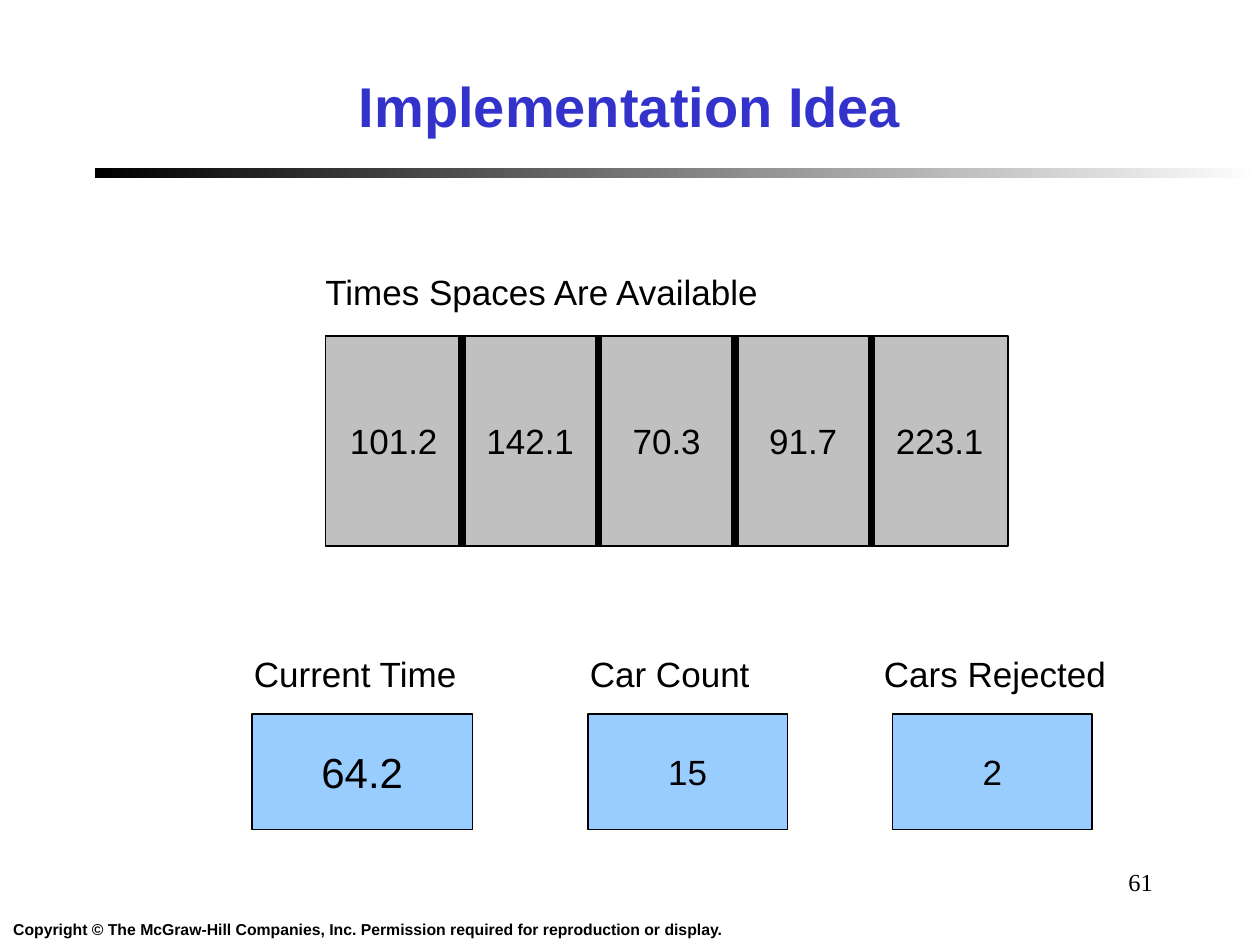
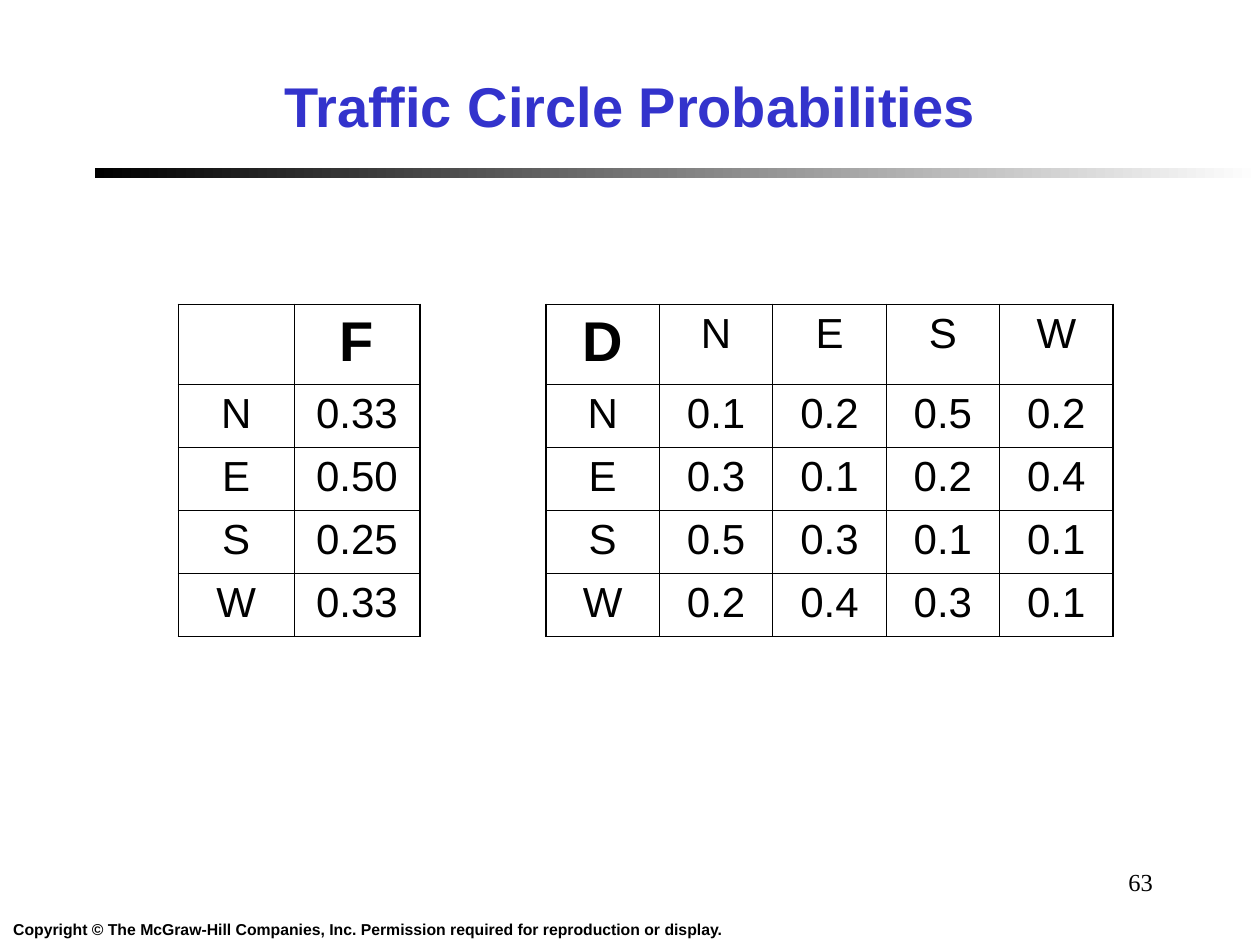
"""Build two slides: a parking-lot implementation idea and traffic circle probability tables."""
from lxml.etree import SubElement
from pptx import Presentation
from pptx.dml.color import RGBColor
from pptx.enum.shapes import MSO_CONNECTOR as Connector, MSO_SHAPE as Shape
from pptx.enum.text import MSO_ANCHOR as Anchor, MSO_AUTO_SIZE as AutoSize, PP_ALIGN as Align
from pptx.oxml.ns import qn
from pptx.util import Inches, Pt

COLORS = {"ink": "000000", "paper": "FFFFFF", "title": "3333CC", "space": "C0C0C0", "counter": "99CCFF"}
COPYRIGHT = "Copyright © The McGraw-Hill Companies, Inc. Permission required for reproduction or display."

SPACES_LABEL = ("Times Spaces Are Available", (29.8, 25.2, 44.2, 5.3))
SPACE_TIMES = ["101.2", "142.1", "70.3", "91.7", "223.1"]
SPACES_LEFT, SPACES_TOP, SPACE_WIDTH, SPACE_HEIGHT = 31, 32, 13, 20

COUNTER_LABEL_TOP, COUNTER_LABEL_HEIGHT = 61.6, 5.3
COUNTER_TOP, COUNTER_HEIGHT = 68, 11
COUNTERS = [
    {"label": "Current Time", "label_left": 23, "label_width": 21.8, "value": "64.2", "size": 24, "left": 24, "width": 21},
    {"label": "Car Count", "label_left": 55, "label_width": 17.7, "value": "15", "size": 20, "left": 56, "width": 19},
    {"label": "Cars Rejected", "label_left": 83, "label_width": 23.7, "value": "2", "size": 20, "left": 85, "width": 19},
]

TABLE_TOP, HEADER_HEIGHT, ROW_HEIGHT = 29, 7.6, 6
TABLES = [
    {"left": 17, "columns": [11, 12], "rows": [
        ["", "F"],
        ["N", "0.33"],
        ["E", "0.50"],
        ["S", "0.25"],
        ["W", "0.33"],
    ]},
    {"left": 52, "columns": [10.8] * 5, "rows": [
        ["D", "N", "E", "S", "W"],
        ["N", "0.1", "0.2", "0.5", "0.2"],
        ["E", "0.3", "0.1", "0.2", "0.4"],
        ["S", "0.5", "0.3", "0.1", "0.1"],
        ["W", "0.2", "0.4", "0.3", "0.1"],
    ]},
]
TABLE_NAMES = {"F", "D"}
OUTER_BORDER, INNER_BORDER = 1.08, 0.45


def grid(*cells):
    """Convert grid units, twelve to the inch, to lengths."""
    return [Inches(cell / 12) for cell in cells]


def color(name):
    """Return the named colour."""
    return RGBColor.from_string(COLORS[name])


def write(frame, text, size, align=Align.CENTER, bold=False, font="Arial", ink="ink"):
    """Write one formatted run into the first paragraph of a text frame."""
    paragraph = frame.paragraphs[0]
    paragraph.alignment = align
    run = paragraph.add_run()
    run.text = text
    run.font.size, run.font.bold, run.font.name = Pt(size), bold, font
    run.font.color.rgb = color(ink)


def add_text(slide, place, text, size, wrap=False, **style):
    """Add a text box that grows with its line unless it wraps."""
    frame = slide.shapes.add_textbox(*grid(*place)).text_frame
    frame.word_wrap = wrap
    frame.auto_size = AutoSize.NONE if wrap else AutoSize.SHAPE_TO_FIT_TEXT
    write(frame, text, size, **style)


def add_value_box(slide, place, text, size, fill):
    """Add an outlined rectangle with a centred value."""
    box = slide.shapes.add_shape(Shape.RECTANGLE, *grid(*place))
    box.shadow.inherit = False
    box.fill.solid()
    box.fill.fore_color.rgb = color(fill)
    box.line.color.rgb = color("ink")
    box.line.width = Pt(0.75)
    box.text_frame.word_wrap = False
    box.text_frame.vertical_anchor = Anchor.MIDDLE
    write(box.text_frame, text, size)


def add_divider(slide, x, top, bottom):
    """Add a thick vertical line."""
    divider = slide.shapes.add_connector(Connector.STRAIGHT, *grid(x, top, x, bottom))
    divider.line.color.rgb = color("ink")
    divider.line.width = Pt(4.5)
    SubElement(divider.element.spPr, qn("a:effectLst"))


def add_border(cell, side, width):
    """Add one border line to a table cell."""
    line = SubElement(cell._tc.get_or_add_tcPr(), qn(f"a:ln{side}"), w=str(Pt(width)))
    SubElement(SubElement(line, qn("a:solidFill")), qn("a:srgbClr"), val=COLORS["ink"])


def add_probability_table(slide, left, columns, rows):
    """Add a ruled table with a heavier outer frame."""
    heights = [HEADER_HEIGHT] + [ROW_HEIGHT] * (len(rows) - 1)
    place = grid(left, TABLE_TOP, sum(columns), sum(heights))
    table = slide.shapes.add_table(len(rows), len(columns), *place).table
    table.first_row = table.horz_banding = False
    for column, width in zip(table.columns, grid(*columns)):
        column.width = width
    for row, height in zip(table.rows, grid(*heights)):
        row.height = height
    for row_index, row in enumerate(rows):
        for column_index, text in enumerate(row):
            cell = table.cell(row_index, column_index)
            outer_sides = {
                "L": column_index == 0,
                "R": column_index == len(columns) - 1,
                "T": row_index == 0,
                "B": row_index == len(rows) - 1,
            }
            for side, is_outer in outer_sides.items():
                add_border(cell, side, OUTER_BORDER if is_outer else INNER_BORDER)
            cell.fill.background()
            if text:
                is_name = text in TABLE_NAMES
                write(cell.text_frame, text, 32 if is_name else 24, bold=is_name)


def add_slide(presentation, title, number):
    """Add a slide with the shared title, gradient band, copyright line and number."""
    slide = presentation.slides.add_slide(presentation.slide_layouts[5])
    heading = slide.shapes.title
    heading.left, heading.top, heading.width, heading.height = grid(3, 4, 114, 12)
    heading.text_frame.vertical_anchor = Anchor.MIDDLE
    write(heading.text_frame, title, 32, bold=True, ink="title")
    band = slide.shapes.add_shape(Shape.RECTANGLE, *grid(9, 16, 111, 1))
    band.shadow.inherit = False
    band.line.fill.background()
    band.fill.gradient()
    band.fill.gradient_angle = 0
    for stop, name in zip(band.fill.gradient_stops, ("ink", "paper")):
        stop.color.rgb = color(name)
    add_text(slide, (0, 87, 70, 3), COPYRIGHT, 9, bold=True)
    add_text(slide, (86, 82, 25, 6), number, 14, wrap=True, align=Align.RIGHT, font="Times New Roman")
    return slide


def build_implementation(presentation):
    """Build the slide with the array of times and the three counters."""
    slide = add_slide(presentation, "Implementation Idea", "61")
    label, place = SPACES_LABEL
    add_text(slide, place, label, 20, align=Align.LEFT)
    lefts = [SPACES_LEFT + index * SPACE_WIDTH for index in range(len(SPACE_TIMES))]
    for left, time in zip(lefts, SPACE_TIMES):
        add_value_box(slide, (left, SPACES_TOP, SPACE_WIDTH, SPACE_HEIGHT), time, 20, "space")
    for left in lefts[1:]:
        add_divider(slide, left, SPACES_TOP, SPACES_TOP + SPACE_HEIGHT)
    for counter in COUNTERS:
        label_place = (counter["label_left"], COUNTER_LABEL_TOP, counter["label_width"], COUNTER_LABEL_HEIGHT)
        add_text(slide, label_place, counter["label"], 20, align=Align.LEFT)
        box_place = (counter["left"], COUNTER_TOP, counter["width"], COUNTER_HEIGHT)
        add_value_box(slide, box_place, counter["value"], counter["size"], "counter")


def build_probabilities(presentation):
    """Build the slide with the two probability tables."""
    slide = add_slide(presentation, "Traffic Circle Probabilities", "63")
    for table in TABLES:
        add_probability_table(slide, **table)


def main():
    """Build and save the presentation."""
    presentation = Presentation()
    presentation.slide_width, presentation.slide_height = grid(120, 90)
    build_implementation(presentation)
    build_probabilities(presentation)
    presentation.save("out.pptx")


if __name__ == "__main__":
    main()
